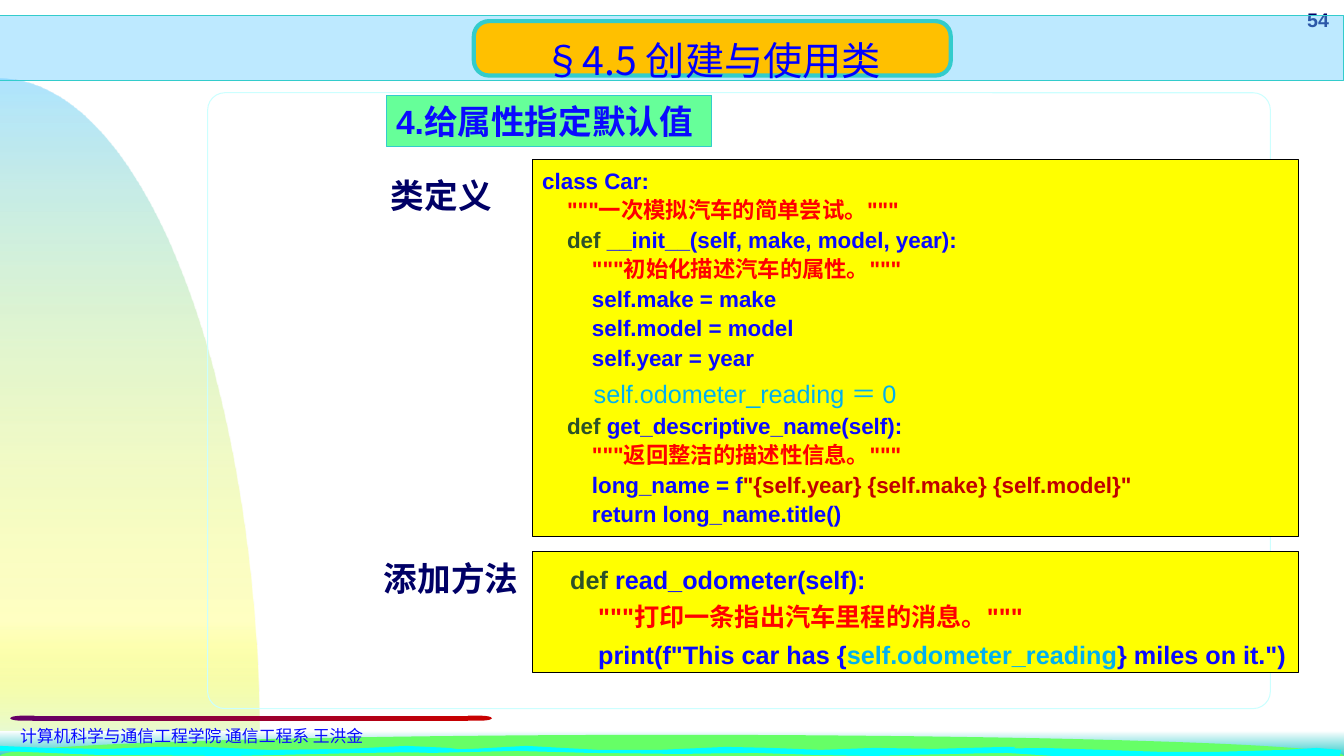
import math

import lxml.etree
import pptx
import pptx.dml.color
import pptx.enum.shapes
import pptx.enum.text
import pptx.oxml.ns
import pptx.util

RGBColor = pptx.dml.color.RGBColor
Pt = pptx.util.Pt
SHAPE = pptx.enum.shapes.MSO_SHAPE
ALIGN = pptx.enum.text.PP_ALIGN
ANCHOR = pptx.enum.text.MSO_ANCHOR
qn = pptx.oxml.ns.qn

SCALE = 9144  # EMU per px, 100 px to the inch
WIDTH, HEIGHT = 1333, 750

WHITE = RGBColor(0xFF, 0xFF, 0xFF)
BLACK = RGBColor(0x00, 0x00, 0x00)
SKY = RGBColor(0x66, 0xCC, 0xFF)
YELLOW = RGBColor(0xFF, 0xFF, 0x00)
MIST = RGBColor(0xDF, 0xF9, 0xF9)
TEAL = RGBColor(0x33, 0xCC, 0xCC)
GRASS = RGBColor(0x66, 0xFF, 0x66)
WATER = RGBColor(0x00, 0xFF, 0xFF)
PALE_CYAN = RGBColor(0xCC, 0xFF, 0xFF)
PURPLE = RGBColor(0x66, 0x00, 0x66)
CRIMSON = RGBColor(0xC8, 0x00, 0x00)
MINT = RGBColor(0x66, 0xFF, 0x99)
ORANGE = RGBColor(0xFF, 0xC0, 0x00)
NAVY = RGBColor(0x00, 0x00, 0x66)
TITLE_BLUE = RGBColor(0x00, 0x00, 0xFF)
CODE_BLUE = RGBColor(0x0A, 0x0A, 0xFF)
KEYWORD = RGBColor(0x2C, 0x51, 0x29)
DOCSTRING = RGBColor(0xFF, 0x00, 0x00)
LITERAL = RGBColor(0xC0, 0x00, 0x00)
NEW_CODE = RGBColor(0x00, 0xB0, 0xF0)

# Closed outlines of the water at the foot of the page
WAVES = [
    [(970, 743), (1036, 742), (1097, 744), (1153, 746), (1203, 746), (1273, 744),
     (1306, 742), (1330, 744), (1329, 750), (1046, 750), (999, 747), (937, 748)],
    [(1007, 741), (1003, 745), (944, 748), (864, 750), (809, 749), (749, 747),
     (673, 748), (585, 747), (512, 745), (428, 747), (398, 746), (414, 744),
     (468, 743), (522, 740), (594, 744), (654, 744), (720, 741), (764, 742),
     (814, 744), (867, 742), (926, 743), (997, 741)],
    [(0, 740), (45, 742), (106, 743), (153, 741), (204, 741), (266, 744),
     (344, 743), (403, 740), (445, 742), (467, 745), (434, 746), (362, 747),
     (230, 750), (98, 749), (0, 745)],
]

# Each code line: indent level, then its coloured spans
CLASS_CODE = [
    (0, [("class Car:", CODE_BLUE)]),
    (1, [('"""一次模拟汽车的简单尝试。"""', DOCSTRING)]),
    (1, [("def", KEYWORD), (" __init__(self, make, model, year):", CODE_BLUE)]),
    (2, [('"""初始化描述汽车的属性。"""', DOCSTRING)]),
    (2, [("self.make = make", CODE_BLUE)]),
    (2, [("self.model = model", CODE_BLUE)]),
    (2, [("self.year = year", CODE_BLUE)]),
    (1, [("def ", KEYWORD), ("get_descriptive_name(self):", CODE_BLUE)]),
    (2, [('"""返回整洁的描述性信息。"""', DOCSTRING)]),
    (2, [("long_name = f", CODE_BLUE),
         ('"{self.year} {self.make} {self.model}"', LITERAL)]),
    (2, [("return long_name.title()", CODE_BLUE)]),
]
METHOD_CODE = [
    (1, [("def ", KEYWORD), ("read_odometer(self):", CODE_BLUE)]),
    (2, [('"""打印一条指出汽车里程的消息。"""', DOCSTRING)]),
    (2, [('print(f"This car has {', CODE_BLUE), ("self.odometer_reading", NEW_CODE),
         ('} miles on it.")', CODE_BLUE)]),
]


def px(*lengths):
    return [round(length * SCALE) for length in lengths]


def style(shape, fill=None, line=None, weight=0.75):
    shape.shadow.inherit = False
    if fill is None:
        shape.fill.background()
    else:
        shape.fill.solid()
        shape.fill.fore_color.rgb = fill
    if line is None:
        shape.line.fill.background()
    else:
        shape.line.color.rgb = line
        shape.line.width = Pt(weight)
    return shape


def set_alpha(color_element, percent):
    lxml.etree.SubElement(color_element, qn("a:alpha"), val=str(percent * 1000))


def set_gradient(shape, stops, angle):
    """Stops are (position %, colour, opacity %); angle is clockwise degrees."""
    shape.fill.gradient()
    gradient = shape.fill._xPr.find(qn("a:gradFill"))
    stop_list = gradient.find(qn("a:gsLst"))
    for old_stop in list(stop_list):
        stop_list.remove(old_stop)
    for position, color, opacity in stops:
        stop = lxml.etree.SubElement(stop_list, qn("a:gs"), pos=str(position * 1000))
        set_alpha(lxml.etree.SubElement(stop, qn("a:srgbClr"), val=str(color)), opacity)
    gradient.find(qn("a:lin")).set("ang", str(angle * 60000))


def add_box(page, kind, box, fill=None, line=None, weight=0.75):
    return style(page.shapes.add_shape(kind, *px(*box)), fill, line, weight)


def add_outline(page, points, fill):
    builder = page.shapes.build_freeform(*px(*points[0]), scale=1.0)
    builder.add_line_segments([px(*point) for point in points[1:]], close=True)
    return style(builder.convert_to_shape(), fill)


def arc(center, radii, start, end, steps=60):
    angles = [math.radians(start + (end - start) * i / steps) for i in range(steps + 1)]
    return [(center[0] + radii[0] * math.cos(a), center[1] - radii[1] * math.sin(a))
            for a in angles]


def write(shape, lines, size, spacing=1.0, bold=False, font="Arial",
          align=ALIGN.LEFT, anchor=ANCHOR.TOP):
    frame = shape.text_frame
    frame.word_wrap = True
    frame.vertical_anchor = anchor
    for number, (level, spans) in enumerate(lines):
        para = frame.add_paragraph() if number else frame.paragraphs[0]
        para.alignment = align
        para.line_spacing = spacing
        para.font.size, para.font.bold, para.font.name = Pt(size), bold, font
        if level:  # one level is four spaces wide
            para._p.get_or_add_pPr().set("marL", str(Pt(level * size * 1.11)))
        for text, color in spans:
            span = para.add_run()
            span.text = text
            span.font.color.rgb = color


def add_text(page, box, text, color, size, **options):
    write(page.shapes.add_textbox(*px(*box)), [(0, [(text, color)])], size, **options)


def draw_scenery(page, width, height):
    # Hill on the left
    hill = add_outline(page, [(0, height)] + arc((0, height), (257, 672), 90, 0), SKY)
    set_gradient(hill, [(0, SKY, 52), (80, YELLOW, 23), (100, MIST, 100)], 90)
    # Grass and water along the foot
    strip = add_box(page, SHAPE.RECTANGLE, (0, height - 25, width, 25), WHITE)
    set_gradient(strip, [(0, WHITE, 100), (100, TEAL, 100)], 90)
    add_outline(page, arc((width / 2, height), (width / 2, 21), 180, 0), GRASS)
    for wave in WAVES:
        add_outline(page, wave, WATER)


def draw_frame(page, width):
    add_text(page, (1244, 3, 84, 33), "54", NAVY, 14, bold=True, align=ALIGN.RIGHT)
    panel = add_box(page, SHAPE.ROUNDED_RECTANGLE, (206, 92, 1054, 611), line=PALE_CYAN)
    panel.adjustments[0] = 0.028
    band = add_box(page, SHAPE.RECTANGLE, (0, 15, width, 65), SKY, TEAL)
    set_alpha(band.fill._xPr.find(qn("a:solidFill"))[0], 43)


def draw_footer(page, box):
    left, top, width, height = box
    cap = 24
    bar = add_box(page, SHAPE.RECTANGLE, (left + cap - 2, top, width - 2 * cap + 2, 5), PURPLE)
    set_gradient(bar, [(0, PURPLE, 100), (100, CRIMSON, 100)], 0)
    start = add_box(page, SHAPE.FLOWCHART_DELAY, (left, top, cap, 5), PURPLE)
    start.rotation = 180
    add_box(page, SHAPE.FLOWCHART_DELAY, (left + width - cap, top, cap, 5), CRIMSON)
    add_text(page, (left, top + 5, width + 10, height - 5),
             "计算机科学与通信工程学院 通信工程系 王洪金", CODE_BLUE, 12)


def draw_title(page, box):
    title = add_box(page, SHAPE.ROUNDED_RECTANGLE, box, ORANGE, TEAL, 3)
    title.adjustments[0] = 0.277
    write(title, [(0, [("§4.5 创建与使用类", TITLE_BLUE)])], 28, 1.5,
          font="Noto Sans CJK SC", align=ALIGN.CENTER, anchor=ANCHOR.MIDDLE)


def draw_heading(page, box):
    heading = add_box(page, SHAPE.RECTANGLE, box, MINT, TEAL)
    write(heading, [(0, [("4.给属性指定默认值", CODE_BLUE)])], 24, bold=True)


def draw_code(page, box, lines, size, spacing, label, label_box):
    panel = add_box(page, SHAPE.RECTANGLE, box, YELLOW, BLACK)
    write(panel, lines, size, spacing, bold=True)
    add_text(page, label_box, label, NAVY, 24, bold=True)
    return panel


def main():
    deck = pptx.Presentation()
    deck.slide_width, deck.slide_height = px(WIDTH, HEIGHT)
    page = deck.slides.add_slide(deck.slide_layouts[6])
    draw_scenery(page, WIDTH, HEIGHT)
    draw_frame(page, WIDTH)
    draw_footer(page, (10, 710, 478, 35))
    draw_heading(page, (383, 95, 323, 50))
    class_panel = draw_code(page, (528, 158, 760, 374), CLASS_CODE, 16, 1.1,
                            "类定义", (378, 169, 126, 50))
    # Room for the added attribute line
    class_panel.text_frame.paragraphs[7].space_before = Pt(27.5)
    add_text(page, (579, 363, 334, 44), "self.odometer_reading ＝ 0", NEW_CODE, 18,
             spacing=1.25)
    draw_code(page, (528, 547, 760, 120), METHOD_CODE, 18, 1.25,
              "添加方法", (371, 549, 160, 50))
    draw_title(page, (470, 21, 473, 54))
    deck.save("out.pptx")


if __name__ == "__main__":
    main()
